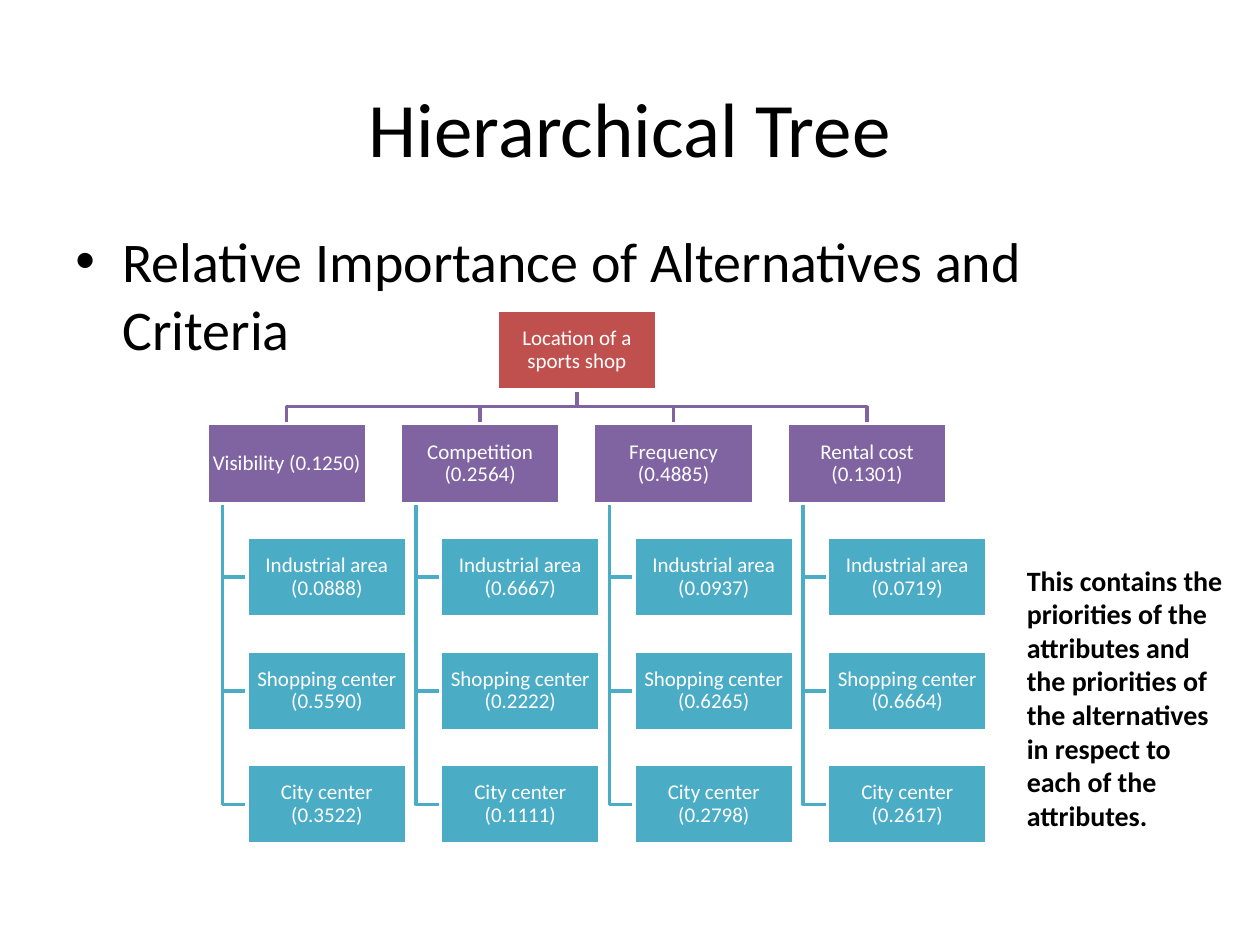
"""Build the slide with the hierarchical tree of criteria and alternatives."""
from lxml import etree
from pptx import Presentation
from pptx import util as u
from pptx.dml.color import RGBColor
from pptx.enum import shapes, text
from pptx.oxml.ns import qn

BLACK = RGBColor(0x00, 0x00, 0x00)
WHITE = RGBColor(0xFF, 0xFF, 0xFF)
RED = RGBColor(0xC0, 0x50, 0x4D)
PURPLE = RGBColor(0x80, 0x64, 0xA2)
TEAL = RGBColor(0x4B, 0xAC, 0xC6)

FONT = "Calibri"
BOX_W, BOX_H = 3.22, 1.61
LEFT, TOP = 4.17, 6.25
COLUMN_STEP, ROW_STEP = 3.9, 2.29
LEAF_INDENT, TRUNK_INDENT = 0.81, 0.32

GOAL = "Location of a sports shop"
ALTERNATIVES = ["Industrial area", "Shopping center", "City center"]
CRITERIA = [
    ("Visibility (0.1250)", ["0.0888", "0.5590", "0.3522"]),
    ("Competition (0.2564)", ["0.6667", "0.2222", "0.1111"]),
    ("Frequency (0.4885)", ["0.0937", "0.6265", "0.2798"]),
    ("Rental cost (0.1301)", ["0.0719", "0.6664", "0.2617"]),
]

prs = Presentation()
prs.slide_width, prs.slide_height = u.Cm(25.4), u.Cm(19.05)
slide = prs.slides.add_slide(prs.slide_layouts[5])


def write(frame, wording, size, color, bold=False):
    frame.word_wrap = True
    paragraph = frame.paragraphs[0]
    run = paragraph.add_run()
    run.text = wording
    run.font.name, run.font.size, run.font.bold = FONT, u.Pt(size), bold
    run.font.color.rgb = color
    return paragraph


def branch(points, color):
    corners = [(u.Cm(x), u.Cm(y)) for x, y in points]
    builder = slide.shapes.build_freeform(*corners[0], scale=1.0)
    builder.add_line_segments(corners[1:], close=False)
    line = builder.convert_to_shape()
    line.shadow.inherit = False
    line.fill.background()
    line.line.color.rgb = color
    line.line.width = u.Pt(2)


title = slide.shapes.title
title.left, title.top, title.width, title.height = u.Cm(1.27), u.Cm(0.97), u.Cm(22.86), u.Cm(3.18)
title.text_frame.vertical_anchor = text.MSO_ANCHOR.MIDDLE
write(title.text_frame, "Hierarchical Tree", 44, BLACK).alignment = text.PP_ALIGN.CENTER

subject = slide.shapes.add_textbox(u.Cm(1.27), u.Cm(4.45), u.Cm(22.86), u.Cm(12.57))
point = write(subject.text_frame, "Relative Importance of Alternatives and Criteria", 32, BLACK)
point.space_before = u.Pt(6.4)
bullet_props = point._p.get_or_add_pPr()
bullet_props.set("marL", str(u.Cm(0.95)))
bullet_props.set("indent", str(-u.Cm(0.95)))
etree.SubElement(bullet_props, qn("a:buFont")).set("typeface", "Arial")
etree.SubElement(bullet_props, qn("a:buChar")).set("char", "•")

goal_left = LEFT + COLUMN_STEP * (len(CRITERIA) - 1) / 2
goal_center = goal_left + BOX_W / 2
criterion_top = TOP + ROW_STEP
fork = (TOP + BOX_H + criterion_top) / 2
nodes = [(goal_left, TOP, GOAL, RED)]

for column, (criterion, priorities) in enumerate(CRITERIA):
    left = LEFT + column * COLUMN_STEP
    center, trunk = left + BOX_W / 2, left + TRUNK_INDENT
    branch([(goal_center, TOP + BOX_H), (goal_center, fork),
            (center, fork), (center, criterion_top)], PURPLE)
    nodes.append((left, criterion_top, criterion, PURPLE))
    for row, (alternative, priority) in enumerate(zip(ALTERNATIVES, priorities), start=1):
        leaf_left, leaf_top = left + LEAF_INDENT, criterion_top + row * ROW_STEP
        middle = leaf_top + BOX_H / 2
        branch([(trunk, criterion_top + BOX_H), (trunk, middle), (leaf_left, middle)], TEAL)
        nodes.append((leaf_left, leaf_top, f"{alternative} ({priority})", TEAL))

for left, top, wording, color in nodes:
    node = slide.shapes.add_shape(shapes.MSO_SHAPE.RECTANGLE, u.Cm(left), u.Cm(top),
                                  u.Cm(BOX_W), u.Cm(BOX_H))
    node.shadow.inherit = False
    node.fill.solid()
    node.fill.fore_color.rgb = color
    node.line.color.rgb = WHITE
    node.line.width = u.Pt(2)
    frame = node.text_frame
    frame.margin_left = frame.margin_right = frame.margin_top = frame.margin_bottom = u.Cm(0.02)
    frame.vertical_anchor = text.MSO_ANCHOR.MIDDLE
    label = write(frame, wording, 12, WHITE)
    label.alignment = text.PP_ALIGN.CENTER
    label.line_spacing = 0.9
    label.space_after = u.Pt(4.2)

remark = slide.shapes.add_textbox(u.Cm(20.45), u.Cm(11.23), u.Cm(4.62), u.Cm(5.74))
write(remark.text_frame,
      "This contains the priorities of the attributes and the priorities of "
      "the alternatives in respect to each of the attributes.", 16, BLACK, bold=True)
remark.text_frame.auto_size = text.MSO_AUTO_SIZE.SHAPE_TO_FIT_TEXT

prs.save("out.pptx")
